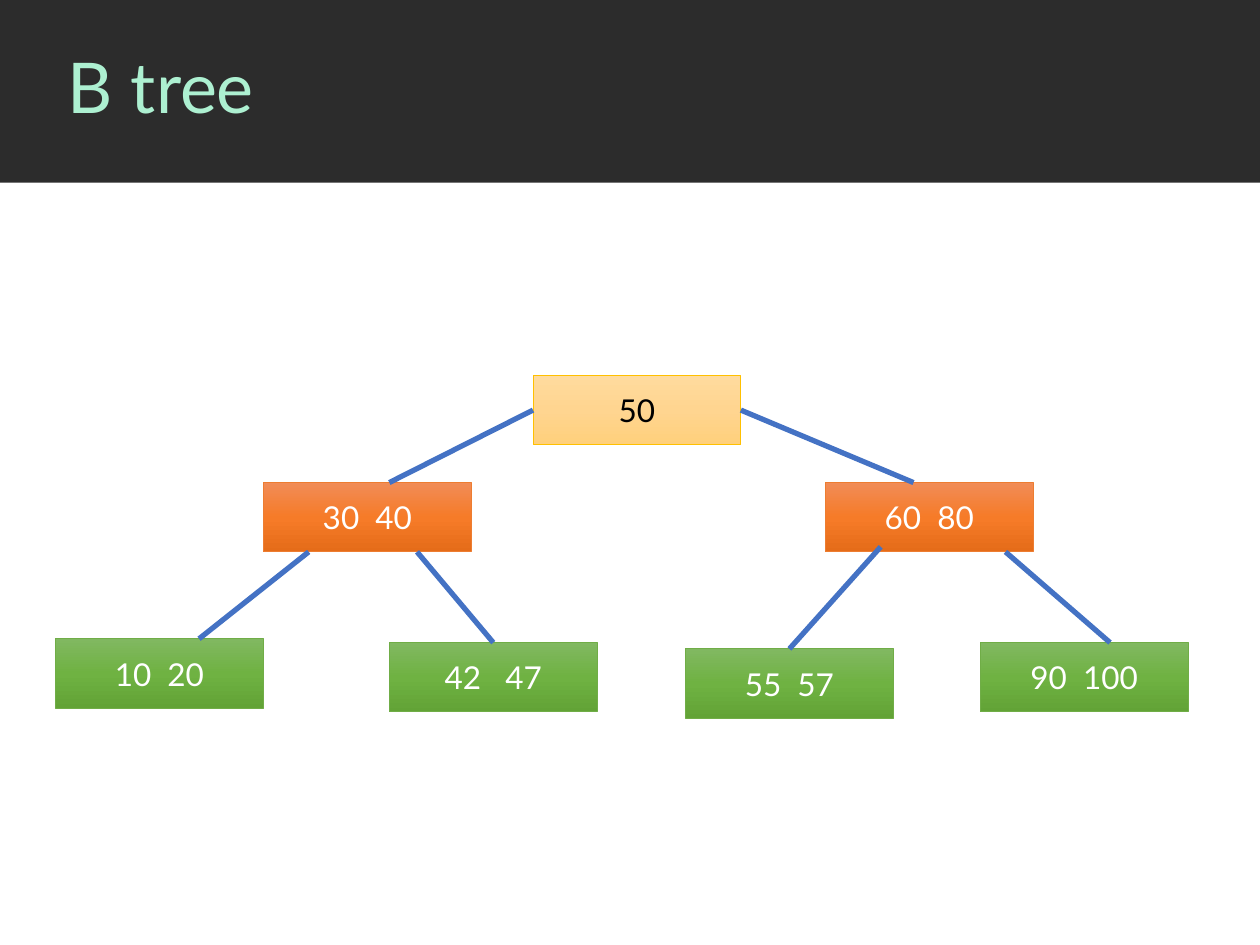
from copy import deepcopy

from pptx import Presentation
from pptx.dml.color import RGBColor
from pptx.enum.shapes import MSO_CONNECTOR, MSO_SHAPE
from pptx.enum.text import MSO_ANCHOR, PP_ALIGN
from pptx.oxml.ns import qn
from pptx.util import Inches, Pt
from lxml import etree

RECTANGLE = MSO_SHAPE.RECTANGLE
STRAIGHT = MSO_CONNECTOR.STRAIGHT
MIDDLE = MSO_ANCHOR.MIDDLE
LEFT, CENTER = PP_ALIGN.LEFT, PP_ALIGN.CENTER
TOP_SITE, LEFT_SITE, RIGHT_SITE = 0, 1, 3

FONT = "Lato"
COLORS = {"band": "2C2C2C", "title": "ADF0D1", "edge": "4472C4"}
LEVELS = {
    "root": {"stops": ("FFDB9E", "FFD590", "FFD07C"), "line": "FFC000", "text": "000000"},
    "inner": {"stops": ("F18C57", "F67B28", "E56C19"), "line": "ED7D31", "text": "FFFFFF"},
    "leaf": {"stops": ("81B861", "6FB242", "62A336"), "line": "70AD47", "text": "FFFFFF"},
}
NODE_WIDTH, NODE_HEIGHT = 1.65, 0.55

# keys, level, left, top
NODES = [
    ("50", "root", 4.23, 2.98),
    ("60  80", "inner", 6.55, 3.83),
    ("30  40", "inner", 2.09, 3.83),
    ("90  100", "leaf", 7.78, 5.1),
    ("55  57", "leaf", 5.44, 5.15),
    ("42   47", "leaf", 3.09, 5.1),
    ("10  20", "leaf", 0.44, 5.07),
]
# parent, child, start point, end point, parent site, child site
EDGES = [
    ("50", "30  40", (4.23, 3.25), (3.09, 3.83), LEFT_SITE, None),
    ("60  80", "55  57", (6.99, 4.34), (6.26, 5.15), None, TOP_SITE),
    ("50", "60  80", (5.88, 3.25), (7.25, 3.83), RIGHT_SITE, None),
    ("30  40", "42   47", (3.31, 4.38), (3.92, 5.1), None, TOP_SITE),
    ("30  40", "10  20", (2.45, 4.38), (1.58, 5.07), None, None),
    ("60  80", "90  100", (7.98, 4.38), (8.81, 5.1), None, None),
]


def rgb(value):
    return RGBColor.from_string(value)


def write(shape, text, size, color, align):
    frame = shape.text_frame
    frame.text = text
    frame.word_wrap = True
    frame.vertical_anchor = MIDDLE
    para = frame.paragraphs[0]
    para.alignment = align
    font = para.runs[0].font
    font.name, font.size = FONT, Pt(size)
    font.color.rgb = rgb(color)


def fill_gradient(shape, colors):
    """Fill from top to bottom with evenly spaced colours."""
    shape.fill.gradient()
    shape.fill.gradient_angle = 270
    stop_list = shape._element.spPr.find(qn("a:gradFill")).find(qn("a:gsLst"))
    while len(stop_list) < len(colors):
        stop_list.append(deepcopy(stop_list[0]))
    for index, (stop, color) in enumerate(zip(shape.fill.gradient_stops, colors)):
        stop.position = index / (len(colors) - 1)
        stop.color.rgb = rgb(color)


def add_rectangle(slide, left, top, width, height):
    box = slide.shapes.add_shape(
        RECTANGLE, Inches(left), Inches(top), Inches(width), Inches(height))
    box.shadow.inherit = False
    return box


def add_header(slide):
    band = add_rectangle(slide, 0, 0, 10, 1.45)
    band.fill.solid()
    band.fill.fore_color.rgb = rgb(COLORS["band"])
    band.line.fill.background()
    title = slide.shapes.add_textbox(0, 0, Inches(9.56), Inches(1.44))
    title.left = Inches(0.44)
    write(title, "B tree", 40, COLORS["title"], LEFT)
    title.text_frame.paragraphs[0].line_spacing = 0.9


def add_node(slide, keys, level, left, top):
    style = LEVELS[level]
    box = add_rectangle(slide, left, top, NODE_WIDTH, NODE_HEIGHT)
    fill_gradient(box, style["stops"])
    box.line.color.rgb = rgb(style["line"])
    box.line.width = Pt(0.5)
    write(box, keys, 18, style["text"], CENTER)
    return box


def add_edge(slide, parent, child, start, end, parent_site, child_site):
    edge = slide.shapes.add_connector(
        STRAIGHT, *(Inches(value) for value in start + end))
    if parent_site is not None:
        edge.begin_connect(parent, parent_site)
    if child_site is not None:
        edge.end_connect(child, child_site)
    edge.line.color.rgb = rgb(COLORS["edge"])
    edge.line.width = Pt(3)
    etree.SubElement(edge._element.spPr, qn("a:effectLst"))


def main():
    deck = Presentation()
    deck.slide_width, deck.slide_height = Inches(10), Inches(7.5)
    slide = deck.slides.add_slide(deck.slide_layouts[6])
    add_header(slide)
    boxes = {node[0]: add_node(slide, *node) for node in NODES}
    for parent, child, *route in EDGES:
        add_edge(slide, boxes[parent], boxes[child], *route)
    deck.save("out.pptx")


if __name__ == "__main__":
    main()
